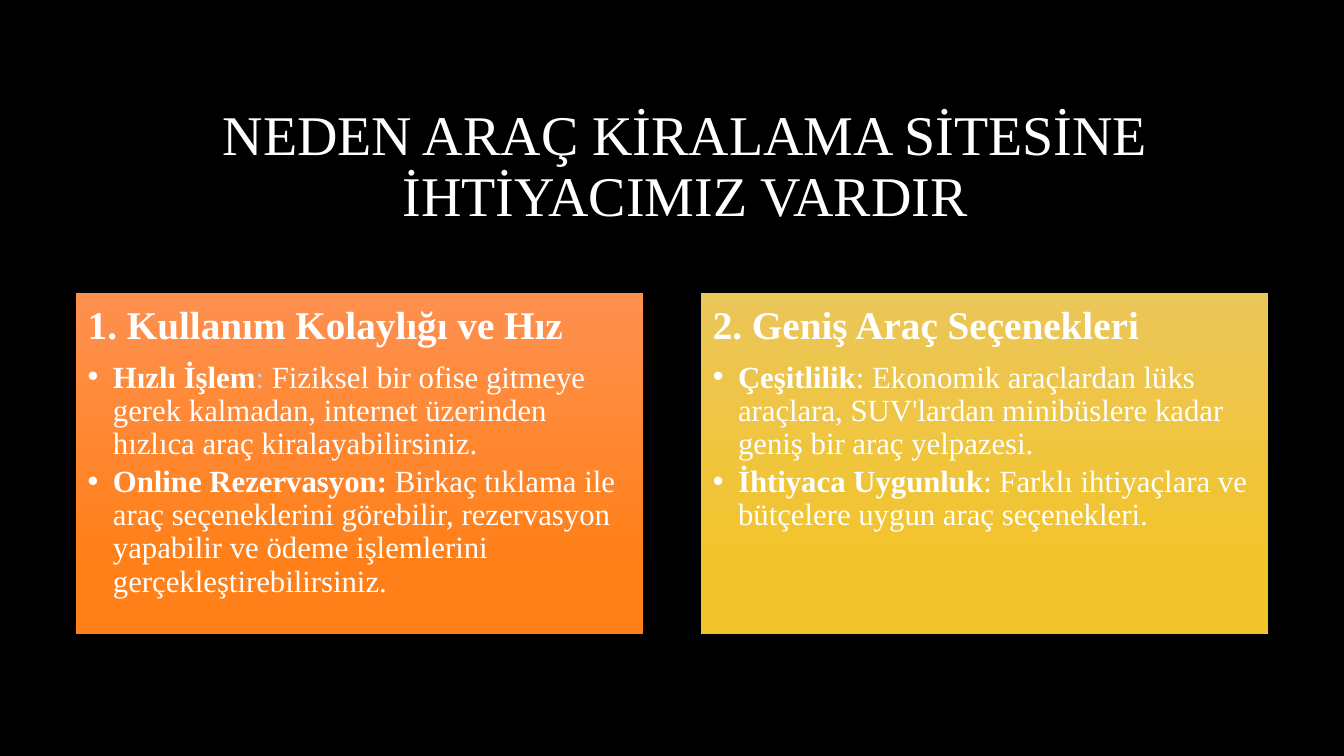
from dataclasses import dataclass

from lxml import etree
from pptx import Presentation
from pptx.dml.color import RGBColor
from pptx.enum.text import MSO_ANCHOR, MSO_AUTO_SIZE, PP_ALIGN
from pptx.oxml.ns import qn
from pptx.util import Inches, Pt

CENTER = PP_ALIGN.CENTER
TOP, MIDDLE = MSO_ANCHOR.TOP, MSO_ANCHOR.MIDDLE
NO_FIT = MSO_AUTO_SIZE.NONE


@dataclass(frozen=True)
class Theme:
    font: str = "Times New Roman"
    background: str = "000000"
    text: str = "FFFFFF"
    accent: str = "B7D7F1"
    title: int = 40
    heading: int = 28
    body: int = 22
    line_spacing: float = 0.9


theme = Theme()
SLIDE_W, SLIDE_H = 13.33, 7.5
MARGIN, GAP, INSET, INDENT = 0.75, 0.57, 0.12, 0.25
PANEL_W = (SLIDE_W - 2 * MARGIN - GAP) / 2
PANEL_TOP, PANEL_H = 2.91, 3.38

# Each panel: gradient, heading, bullets made of (text, bold, colour) runs
panels = [
    (("FE904F", "FF8019"), "1. Kullanım Kolaylığı ve Hız", [
        [("Hızlı İşlem", True, theme.text),
         (":", False, theme.accent),
         (" Fiziksel bir ofise gitmeye gerek kalmadan, internet üzerinden "
          "hızlıca araç kiralayabilirsiniz.", False, theme.text)],
        [("Online Rezervasyon:", True, theme.text),
         (" Birkaç tıklama ile araç seçeneklerini görebilir, rezervasyon "
          "yapabilir ve ödeme işlemlerini gerçekleştirebilirsiniz.", False, theme.text)],
    ]),
    (("EBC659", "F2C42C"), "2. Geniş Araç Seçenekleri", [
        [("Çeşitlilik", True, theme.text),
         (": Ekonomik araçlardan lüks araçlara, SUV'lardan minibüslere kadar "
          "geniş bir araç yelpazesi.", False, theme.text)],
        [("İhtiyaca Uygunluk", True, theme.text),
         (": Farklı ihtiyaçlara ve bütçelere uygun araç seçenekleri.", False, theme.text)],
    ]),
]


def add_run(p, text, size, bold=False, color=theme.text):
    r = p.add_run()
    r.text = text
    r.font.name = theme.font
    r.font.size = Pt(size)
    r.font.bold = bold
    r.font.color.rgb = RGBColor.from_string(color)


def format_paragraph(p, after, bullet=None):
    """Set spacing, and a hanging bullet or none at all."""
    indent = Inches(INDENT) if bullet else 0
    p.line_spacing = theme.line_spacing
    p.space_before = Pt(0)
    p.space_after = Pt(after)
    pPr = p._p.get_or_add_pPr()
    pPr.set("marL", str(indent))
    pPr.set("indent", str(-indent))
    if bullet:
        etree.SubElement(pPr, qn("a:buFont"), typeface="Arial")
        etree.SubElement(pPr, qn("a:buChar"), char=bullet)
    else:
        etree.SubElement(pPr, qn("a:buNone"))


prs = Presentation()
prs.slide_width, prs.slide_height = Inches(SLIDE_W), Inches(SLIDE_H)
s = prs.slides.add_slide(prs.slide_layouts.get_by_name("Two Content"))
s.background.fill.solid()
s.background.fill.fore_color.rgb = RGBColor.from_string(theme.background)

# Title
title, *bodies = s.placeholders
title.left, title.top = Inches(0.88), Inches(0.96)
title.width, title.height = Inches(11.83), Inches(1.41)
tf = title.text_frame
tf.auto_size, tf.vertical_anchor = NO_FIT, MIDDLE
p = tf.paragraphs[0]
p.alignment = CENTER
format_paragraph(p, 0)
add_run(p, "NEDEN ARAÇ KİRALAMA SİTESİNE İHTİYACIMIZ VARDIR", theme.title)

# Two gradient panels
for column, (sp, (gradient, heading, bullets)) in enumerate(zip(bodies, panels)):
    sp.left = Inches(MARGIN + column * (PANEL_W + GAP))
    sp.top = Inches(PANEL_TOP)
    sp.width, sp.height = Inches(PANEL_W), Inches(PANEL_H)
    sp.fill.gradient()
    sp.fill.gradient_angle = 270
    for stop, color, position in zip(sp.fill.gradient_stops, gradient, (0, 0.78)):
        stop.color.rgb = RGBColor.from_string(color)
        stop.position = position

    tf = sp.text_frame
    tf.auto_size, tf.vertical_anchor = NO_FIT, TOP
    tf.margin_left = tf.margin_right = Inches(INSET)
    tf.margin_top = tf.margin_bottom = Inches(INSET)
    p = tf.paragraphs[0]
    format_paragraph(p, 0.35 * theme.heading)
    add_run(p, heading, theme.heading, bold=True)
    for runs in bullets:
        p = tf.add_paragraph()
        p.level = 1
        format_paragraph(p, 0.15 * theme.body, bullet="•")
        for text, bold, color in runs:
            add_run(p, text, theme.body, bold, color)

prs.save("out.pptx")
